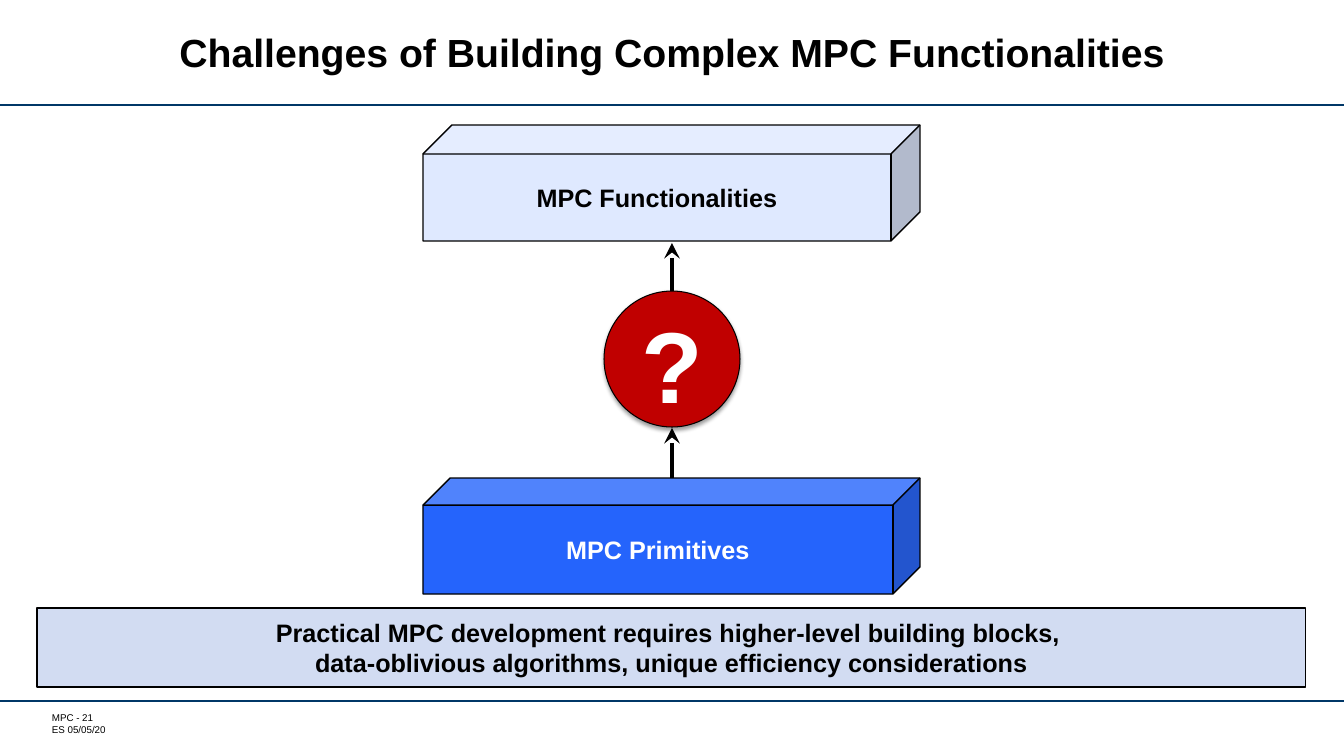
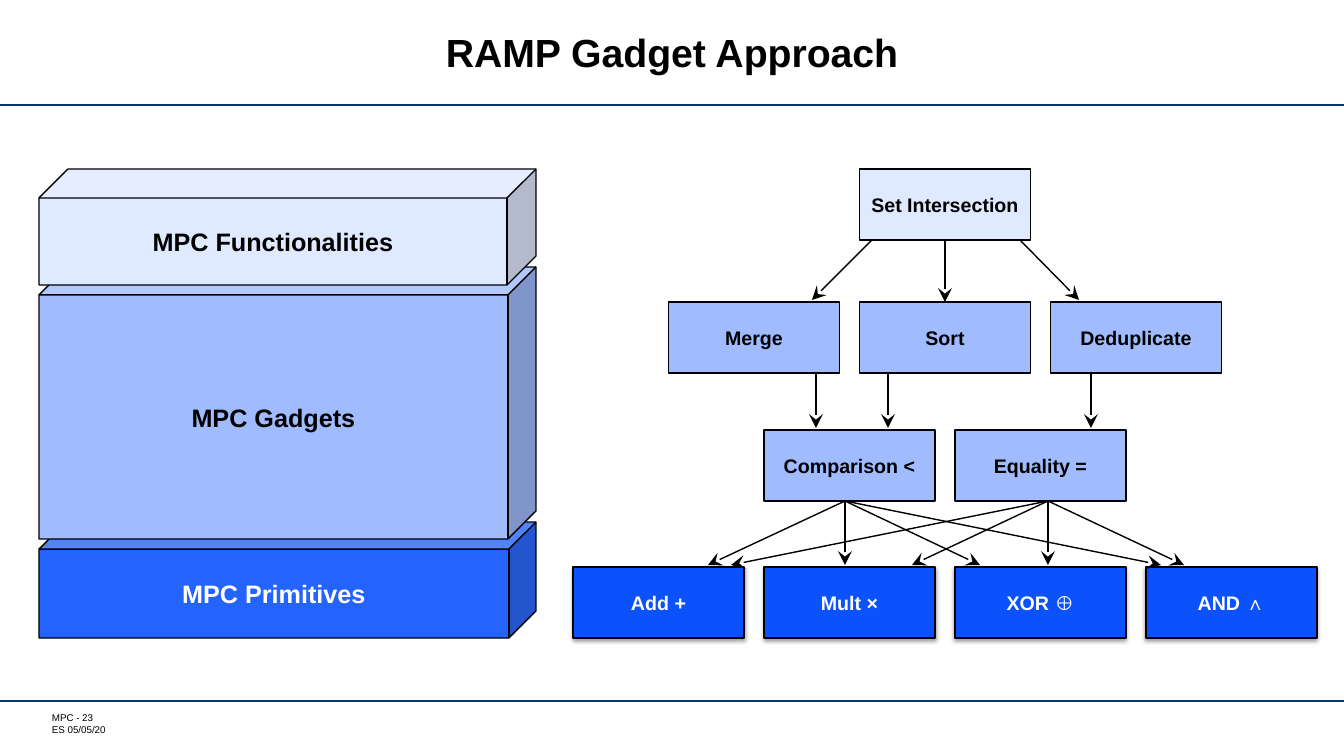
import pptx
import pptx.util
import pptx.oxml
import pptx.oxml.ns
import pptx.dml.color
import pptx.enum.shapes
import pptx.enum.text

RGB = pptx.dml.color.RGBColor
KIND = pptx.enum.shapes.MSO_SHAPE
ALIGN = pptx.enum.text.PP_ALIGN
MID = pptx.enum.text.MSO_ANCHOR.MIDDLE
NS = pptx.oxml.ns.nsdecls("a")

BLACK = RGB(0, 0, 0)
WHITE = RGB(255, 255, 255)
NAVY = RGB(0x00, 0x37, 0x67)
BLUE = RGB(0x0B, 0x52, 0xFC)
SKY = RGB(0xA0, 0xBC, 0xFE)
PALE = RGB(0xDF, 0xE9, 0xFF)
RED = RGB(0xC0, 0, 0)
MIST = RGB(0xD2, 0xDC, 0xF2)

WIDE, HIGH = 1344, 756
MARK = "ES 05/05/20"
BANNER = ("Practical MPC development requires higher-level building blocks, \v"
          "data-oblivious algorithms, unique efficiency considerations")

CUBES = {
    "base": ("MPC Primitives", BLUE, WHITE, 116, 0.234, 89),
    "gadget": ("MPC Gadgets", SKY, BLACK, 272, 0.103, 100),
    "goal": ("MPC Functionalities", PALE, BLACK, 116, 0.25, 100),
}
STACK = [("base", 522), ("gadget", 267), ("goal", 169)]

LEFT, STEP, BOXW, BOXH = 573, 191, 171, 71
ROWS = [
    (169, 1.5, PALE, BLACK, ["Set Intersection"]),
    (302, 0.5, SKY, BLACK, ["Merge", "Sort", "Deduplicate"]),
    (430, 1, SKY, BLACK, ["Comparison <", "Equality ="]),
    (567, 0, BLUE, WHITE, ["Add +", "Mult ×", "XOR ⊕", "AND ∧"]),
]
FLOWS = [
    [(872, 812), (1020, 1079)],
    [(816, 816), (888, 888), (1091, 1091)],
    [(845, 708), (845, 845), (845, 980), (845, 1161),
     (1048, 731), (1048, 912), (1048, 1048), (1048, 1184)],
]


def px(num):
    return pptx.util.Emu(round(num * 914400 / 100.8))


def write(shape, text, size, color=BLACK, bold=True, align=ALIGN.CENTER):
    frame = shape.text_frame
    frame.word_wrap = True
    frame.text = text
    for para in frame.paragraphs:
        para.alignment = align
        for run in para.runs:
            font = run.font
            font.name, font.size, font.bold = "Arial", pptx.util.Pt(size), bold
            font.color.rgb = color
    return frame


def pad(frame, left=0, top=0, right=0, bottom=0):
    frame.margin_left, frame.margin_top = px(left), px(top)
    frame.margin_right, frame.margin_bottom = px(right), px(bottom)


def draw(slide, kind, place, fill, text, size, color=BLACK, line=1):
    shape = slide.shapes.add_shape(kind, *map(px, place))
    shape.shadow.inherit = False
    shape.fill.solid()
    shape.fill.fore_color.rgb = fill
    shape.line.color.rgb = BLACK
    shape.line.width = pptx.util.Pt(line)
    write(shape, text, size, color).vertical_anchor = MID
    return shape


def shade(shape):
    effects = shape._element.spPr.find(pptx.oxml.ns.qn("a:effectLst"))
    effects.append(pptx.oxml.parse_xml(
        f'<a:outerShdw {NS} blurRad="39370" dist="20320" dir="5400000" rotWithShape="0">'
        '<a:srgbClr val="000000"><a:alpha val="38000"/></a:srgbClr></a:outerShdw>'))


def rule(slide, start, end, width, color=BLACK, tip=True):
    line = slide.shapes.add_connector(
        pptx.enum.shapes.MSO_CONNECTOR.STRAIGHT, *map(px, start + end))
    line.line.color.rgb = color
    line.line.width = pptx.util.Pt(width)
    if tip:
        line.line._get_or_add_ln().append(pptx.oxml.parse_xml(
            f'<a:tailEnd {NS} type="stealth" w="lg" len="lg"/>'))
    line._element.spPr.append(pptx.oxml.parse_xml(f'<a:effectLst {NS}/>'))
    return line


def cube(slide, name, left, top):
    text, fill, color, high, depth, alpha = CUBES[name]
    shape = draw(slide, KIND.CUBE, (left, top, 497, high), fill, text, 18, color)
    shape.adjustments[0] = depth
    if alpha < 100:
        tint = shape._element.spPr.find(".//" + pptx.oxml.ns.qn("a:srgbClr"))
        tint.append(pptx.oxml.parse_xml(f'<a:alpha {NS} val="{alpha * 1000}"/>'))


def start(deck, title, page):
    slide = deck.slides.add_slide(deck.slide_layouts[6])
    for y in (105, 701):
        rule(slide, (0, y), (WIDE, y), 1.75, NAVY, False)
    foot = slide.shapes.add_textbox(*map(px, (47, 712, 160, 24)))
    pad(write(foot, f"MPC - {page}\n{MARK}", 7, bold=False, align=ALIGN.LEFT), left=5)
    head = slide.shapes.add_textbox(*map(px, (138, 11, 1068, 90)))
    frame = write(head, title, 28)
    frame.vertical_anchor = MID
    frame.paragraphs[0].line_spacing = pptx.util.Pt(28)
    return slide


def puzzle(deck):
    slide = start(deck, "Challenges of Building Complex MPC Functionalities", 21)
    cube(slide, "base", 423, 478)
    disc = draw(slide, KIND.OVAL, (604, 291, 136, 136), RED, "?", 72, WHITE, 0.75)
    pad(disc.text_frame, 10, 13, 10, 5)
    shade(disc)
    cube(slide, "goal", 423, 125)
    rule(slide, (672, 478), (672, 428), 2.25)
    rule(slide, (672, 291), (672, 243), 2.25).begin_connect(disc, 0)
    note = draw(slide, KIND.RECTANGLE, (37, 608, 1269, 79), MIST, BANNER, 18, line=0.75)
    pad(note.text_frame, 13, 7, 13, 7)


def layers(deck):
    slide = start(deck, "RAMP Gadget Approach", 23)
    for name, top in STACK:
        cube(slide, name, 39, top)
    boxes = {}
    for top, slot, fill, color, names in ROWS:
        for i, name in enumerate(names):
            place = (LEFT + STEP * (slot + i), top, BOXW, BOXH)
            box = draw(slide, KIND.RECTANGLE, place, fill, name, 14, color)
            pad(box.text_frame)
            if fill == BLUE:
                shade(box)
            boxes[name] = box
    for row, below, flow in zip(ROWS, ROWS[1:], FLOWS):
        for x, end in flow:
            rule(slide, (x, row[0] + BOXH), (end, below[0] - 2), 1)
    link = rule(slide, (945, 240), (945, 302), 1)
    link.begin_connect(boxes["Set Intersection"], 2)
    link.end_connect(boxes["Sort"], 0)


def main():
    deck = pptx.Presentation()
    deck.slide_width, deck.slide_height = px(WIDE), px(HIGH)
    puzzle(deck)
    layers(deck)
    deck.save("out.pptx")


if __name__ == "__main__":
    main()
